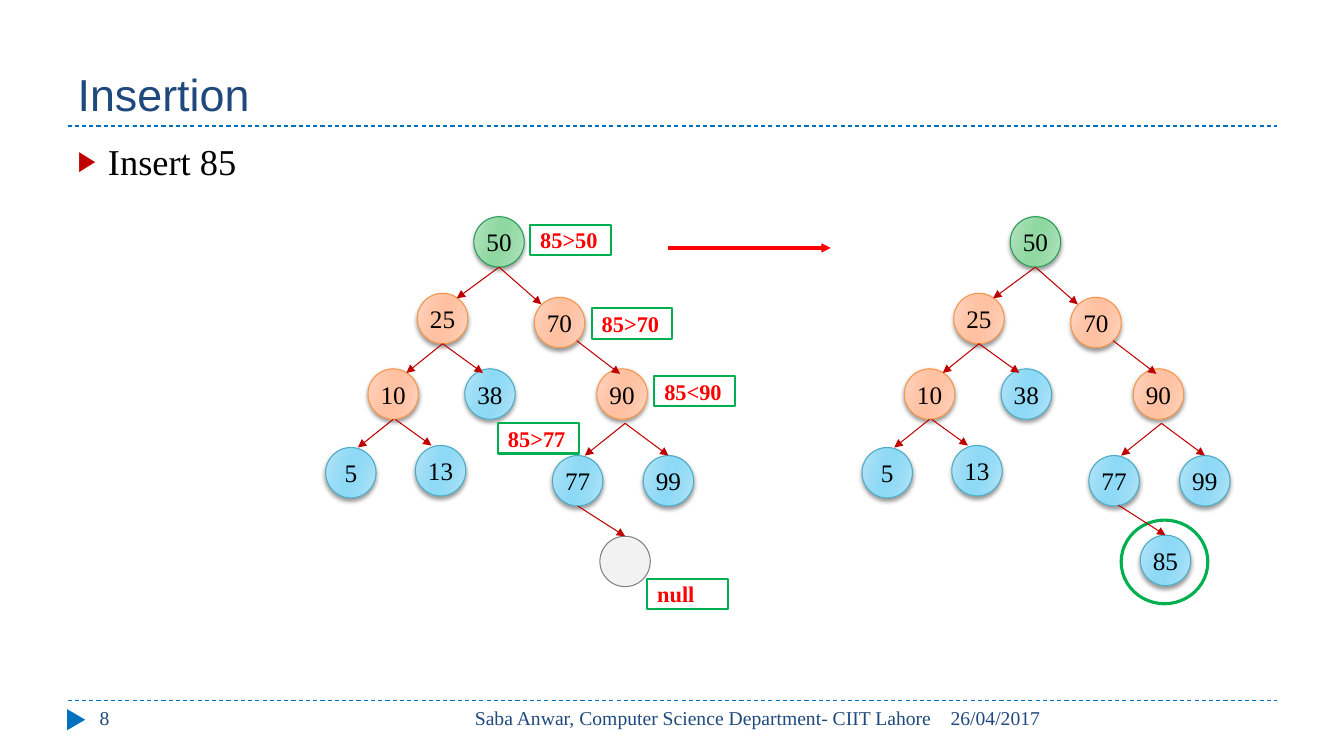
from lxml import etree
from pptx import Presentation
from pptx.dml.color import RGBColor
from pptx.enum.dml import MSO_LINE
from pptx.enum.shapes import MSO_CONNECTOR, MSO_SHAPE
from pptx.enum.text import MSO_ANCHOR, MSO_AUTO_SIZE, PP_ALIGN
from pptx.oxml.ns import qn
from pptx.util import Inches, Pt

OVAL, RECTANGLE, TRIANGLE = MSO_SHAPE.OVAL, MSO_SHAPE.RECTANGLE, MSO_SHAPE.ISOSCELES_TRIANGLE
STRAIGHT, DASH = MSO_CONNECTOR.STRAIGHT, MSO_LINE.DASH
LEFT, CENTER, RIGHT = PP_ALIGN.LEFT, PP_ALIGN.CENTER, PP_ALIGN.RIGHT
TOP, MIDDLE, BOTTOM = MSO_ANCHOR.TOP, MSO_ANCHOR.MIDDLE, MSO_ANCHOR.BOTTOM
NO_AUTOFIT = MSO_AUTO_SIZE.NONE
colour = RGBColor.from_string

SERIF = "Times New Roman"
NAVY, BLUE, GREEN, DARK_RED = "1F497D", "0070C0", "00B050", "C00000"
TITLE = {"size": Pt(32), "name": "Arial", "bold": False}
BODY = {"size": Pt(26), "name": SERIF, "bold": False}
FOOTER = {"size": Pt(14), "name": SERIF, "bold": False}
NODE = {"size": Pt(18), "name": SERIF, "bold": False}
LABEL = {"size": Pt(16), "name": SERIF, "bold": True}

WIDTH, HEIGHT = 13.33, 7.5
MARGIN, CONTENT = 0.67, 12
NODE_SIZE = 0.5
LABEL_WIDTH, LABEL_HEIGHT = 0.8, 0.3
TREE_SHIFT = 5.32


def write(box, text, look, ink, align=LEFT, anchor=TOP):
    frame = box.text_frame
    frame.word_wrap = True
    frame.auto_size = NO_AUTOFIT
    frame.vertical_anchor = anchor
    para = frame.paragraphs[0]
    para.alignment = align
    para.space_before = Pt(0)
    span = para.add_run()
    span.text = text
    for key, value in look.items():
        setattr(span.font, key, value)
    span.font.color.rgb = colour(ink)


def draw_line(start, end, ink, width, arrow=True):
    line = page.shapes.add_connector(STRAIGHT, *map(Inches, (*start, *end)))
    line.line.color.rgb = colour(ink)
    line.line.width = Pt(width)
    properties = line._element.spPr
    if arrow:
        etree.SubElement(properties.get_or_add_ln(), qn("a:tailEnd"), type="triangle")
    else:
        line.line.dash_style = DASH
    etree.SubElement(properties, qn("a:effectLst"))


deck = Presentation()
deck.slide_width, deck.slide_height = Inches(WIDTH), Inches(HEIGHT)
page = deck.slides.add_slide(deck.slide_layouts[1])

for rule in (6.95, 1.25):
    draw_line((MARGIN, rule), (MARGIN + CONTENT, rule), BLUE, 0.75, arrow=False)

marker = page.shapes.add_shape(TRIANGLE, *map(Inches, (0.65, 7.05, 0.21, 0.18)))
marker.rotation = 90
marker.shadow.inherit = False
marker.fill.solid()
marker.fill.fore_color.rgb = colour(BLUE)
marker.line.fill.background()

title, body = page.shapes.title, page.placeholders[1]
for holder, top, height in ((title, 0.17, 1.08), (body, 1.33, 5.4)):
    holder.left, holder.top = Inches(MARGIN), Inches(top)
    holder.width, holder.height = Inches(CONTENT), Inches(height)
write(title, "Insertion", TITLE, NAVY, anchor=BOTTOM)

bullet = body.text_frame.paragraphs[0]._p.get_or_add_pPr()
bullet.set("marL", str(Inches(0.3)))
bullet.set("indent", str(-Inches(0.3)))
bullet_colour = etree.SubElement(bullet, qn("a:buClr"))
etree.SubElement(bullet_colour, qn("a:srgbClr"), val=DARK_RED)
etree.SubElement(bullet, qn("a:buSzPct"), val="76000")
etree.SubElement(bullet, qn("a:buFont"), typeface="Arial")
etree.SubElement(bullet, qn("a:buChar"), char="▶")
write(body, "Insert 85", BODY, "000000")

footers = [
    ("26/04/2017", 9.33, 3.34, LEFT),
    ("Saba Anwar, Computer Science Department- CIIT Lahore", 4.23, 5.11, RIGHT),
    ("8", 0.89, 2.89, LEFT),
]
for text, left, width, align in footers:
    box = page.shapes.add_textbox(*map(Inches, (left, 6.95, width, 0.4)))
    write(box, text, FOOTER, NAVY, align)

plain_ovals = [
    ((5.95, 5.32, NODE_SIZE, NODE_SIZE), "F2F2F2", "808080", 0.75),
    ((11.12, 5.16, 0.86, 0.83), None, GREEN, 2.25),
]
for place, fill, outline, width in plain_ovals:
    oval = page.shapes.add_shape(OVAL, *map(Inches, place))
    oval.shadow.inherit = False
    if fill:
        oval.fill.solid()
        oval.fill.fore_color.rgb = colour(fill)
    else:
        oval.fill.background()
    oval.line.color.rgb = colour(outline)
    oval.line.width = Pt(width)

LEVELS = {
    "root": ("279D57", "BBE4C5", "9BDBAB", "8FD8A1"),
    "inner": ("F79646", "FFD7C5", "FFC6AA", "FFC1A1"),
    "leaf": ("4BACC6", "B9E5F7", "99DCF6", "8DD9F6"),
}
tree_nodes = [
    ("50", 4.7, 2.15, "root"),
    ("25", 4.14, 2.91, "inner"),
    ("70", 5.3, 2.95, "inner"),
    ("10", 3.65, 3.66, "inner"),
    ("38", 4.61, 3.66, "leaf"),
    ("90", 5.92, 3.66, "inner"),
    ("5", 3.23, 4.44, "leaf"),
    ("13", 4.12, 4.42, "leaf"),
    ("77", 5.48, 4.52, "leaf"),
    ("99", 6.38, 4.52, "leaf"),
]
nodes = [(text, left + shift, top, level)
         for shift in (0, TREE_SHIFT) for text, left, top, level in tree_nodes]
nodes.append(("85", 11.31, 5.31, "leaf"))
for text, left, top, level in nodes:
    outline, pale, medium, deep = LEVELS[level]
    node = page.shapes.add_shape(OVAL, *map(Inches, (left, top, NODE_SIZE, NODE_SIZE)))
    node.fill.gradient()
    node.fill.gradient_angle = 344
    stops = node._element.spPr.find(".//" + qn("a:gsLst"))
    for stop in list(stops):
        stops.remove(stop)
    for share, tint in zip((0, 30, 45, 55, 73, 100), (pale, medium, deep, deep, medium, pale)):
        stop = etree.SubElement(stops, qn("a:gs"), pos=str(share * 1000))
        etree.SubElement(stop, qn("a:srgbClr"), val=tint)
    node.line.color.rgb = colour(outline)
    node.line.width = Pt(0.75)
    node.shadow.inherit = False
    effects = node._element.spPr.find(qn("a:effectLst"))
    shadow = etree.SubElement(effects, qn("a:outerShdw"), blurRad=str(Pt(3)), dist=str(Pt(2)),
                              dir="5400000", rotWithShape="0")
    shade = etree.SubElement(shadow, qn("a:srgbClr"), val="000000")
    etree.SubElement(shade, qn("a:alpha"), val="40000")
    node.text_frame.margin_left = node.text_frame.margin_right = 0
    write(node, text, NODE, "000000", CENTER, MIDDLE)

tree_edges = [
    ((4.95, 2.65), (4.53, 2.96)),
    ((4.95, 2.65), (5.37, 3.02)),
    ((4.39, 3.41), (4.03, 3.7)),
    ((4.39, 3.41), (4.79, 3.7)),
    ((5.72, 3.38), (6.15, 3.71)),
    ((3.9, 4.16), (3.55, 4.44)),
    ((3.92, 4.16), (4.28, 4.42)),
    ((6.2, 4.2), (5.8, 4.52)),
    ((6.2, 4.2), (6.63, 4.52)),
]
for shift in (0, TREE_SHIFT):
    for (start_x, start_y), (end_x, end_y) in tree_edges:
        draw_line((start_x + shift, start_y), (end_x + shift, end_y), DARK_RED, 0.75)
draw_line((5.73, 5.02), (6.2, 5.32), DARK_RED, 0.75)
draw_line((11.09, 5.01), (11.56, 5.31), DARK_RED, 0.75)
draw_line((6.63, 2.46), (8.24, 2.46), "FF0000", 2.25)

labels = [
    ("85>50", 5.26, 2.23),
    ("85>70", 5.87, 3.06),
    ("85<90", 6.49, 3.73),
    ("85>77", 4.94, 4.2),
    ("null", 6.42, 5.74),
]
for text, left, top in labels:
    label = page.shapes.add_shape(RECTANGLE, *map(Inches, (left, top, LABEL_WIDTH, LABEL_HEIGHT)))
    label.shadow.inherit = False
    label.fill.background()
    label.line.color.rgb = colour(GREEN)
    label.line.width = Pt(1.5)
    write(label, text, LABEL, "FF0000", anchor=MIDDLE)

deck.save("out.pptx")
